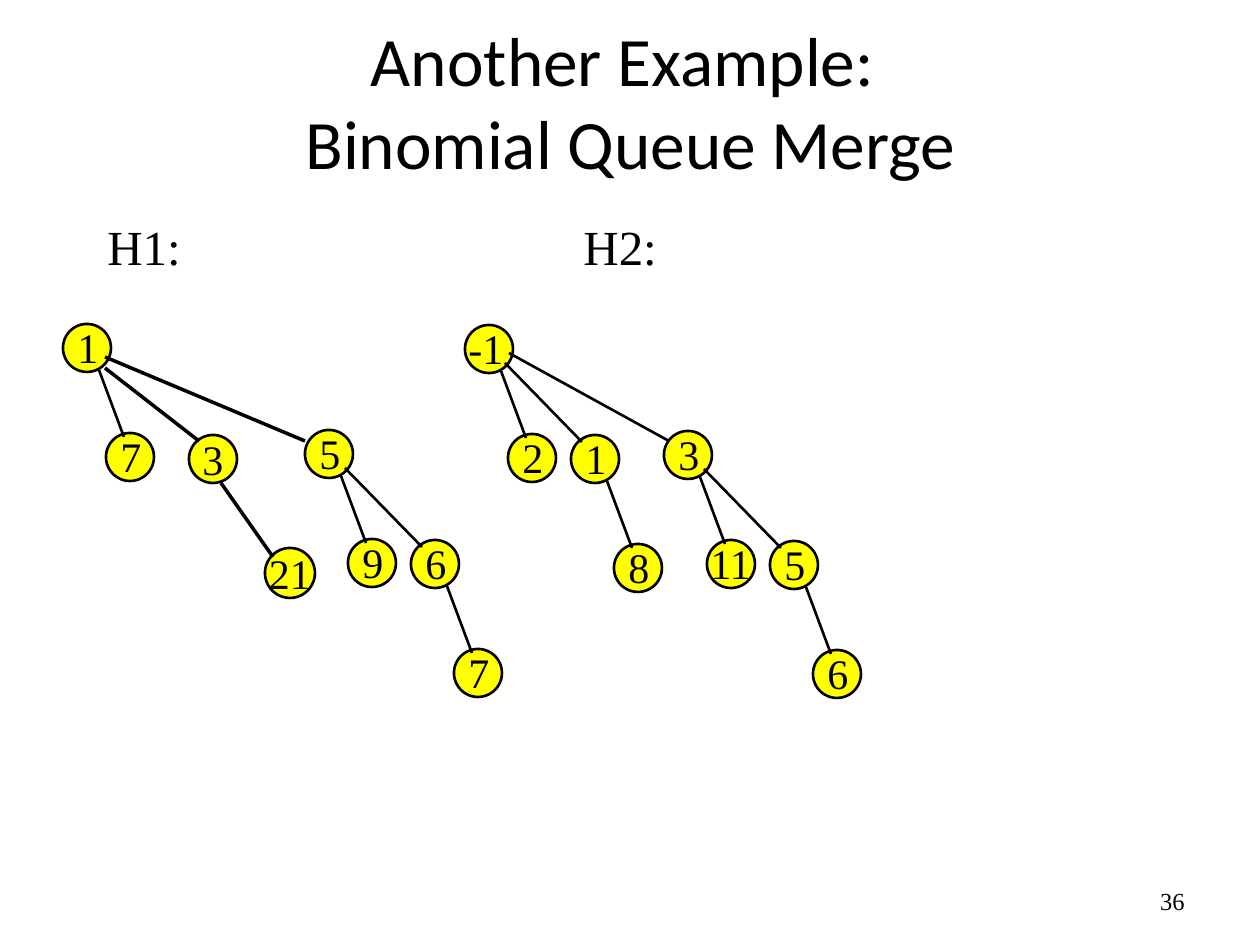
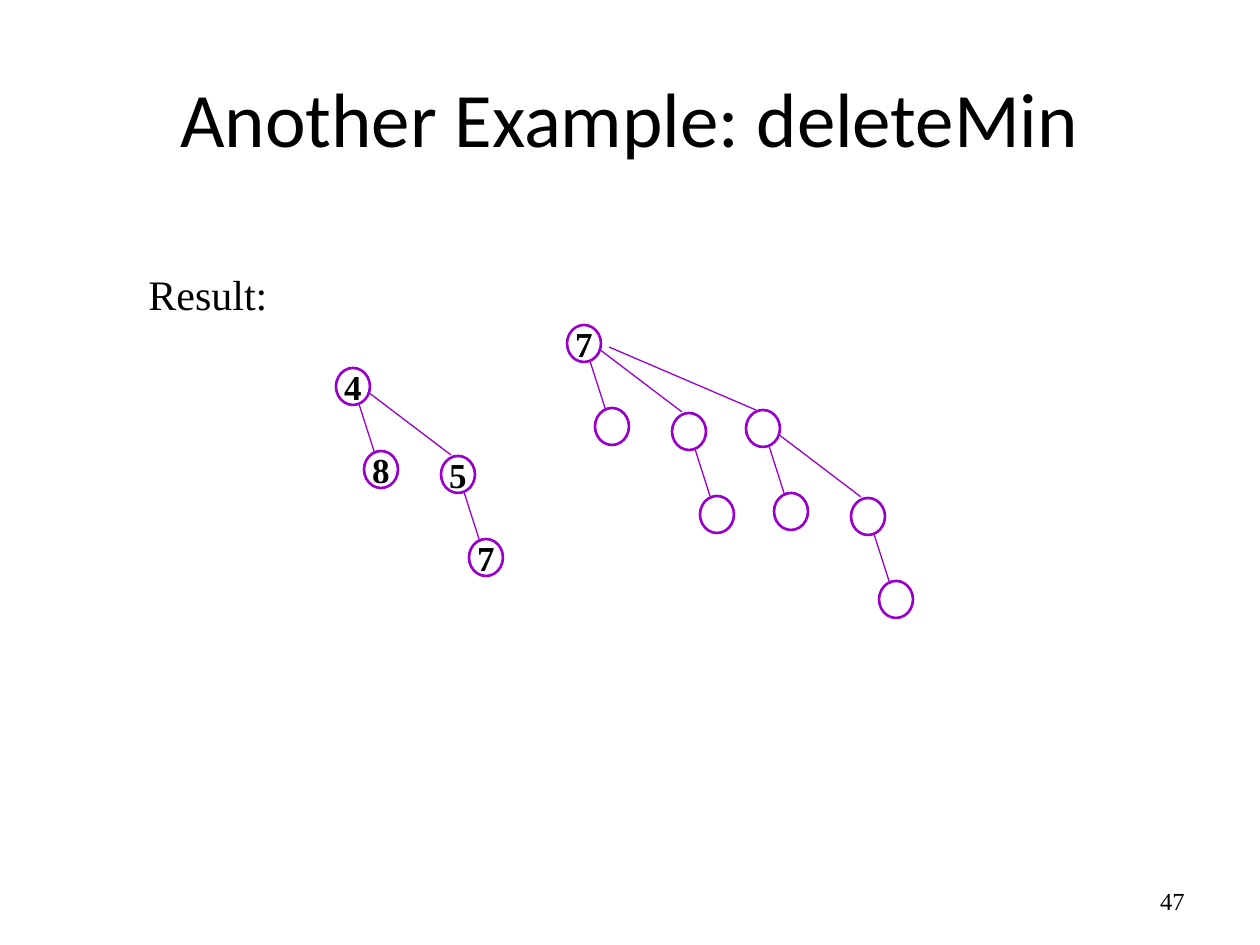
import dataclasses

import pptx
import pptx.dml.color
import pptx.enum.shapes
import pptx.enum.text
import pptx.oxml
import pptx.oxml.ns
import pptx.util

ALIGN = pptx.enum.text.PP_ALIGN
ANCHOR = pptx.enum.text.MSO_ANCHOR
RGB = pptx.dml.color.RGBColor.from_string
SCALE = 914400 / 126  # EMU in one px


@dataclasses.dataclass(frozen=True)
class Theme:
    black: str = "000000"
    yellow: str = "FFFF00"
    purple: str = "9900CC"
    head: str = "Calibri"
    body: str = "Times New Roman"
    title: float = 44
    tight: float = 39.6
    large: float = 28
    text: float = 24
    small: float = 20
    page: float = 14


@dataclasses.dataclass(frozen=True)
class Look:
    """How the trees of one slide are drawn; offsets start at a parent node."""
    size: tuple      # node width and height
    fill: str
    ink: str
    rim: float       # node line width
    edge: float      # edge line width
    step: tuple      # offset of the leaf child
    stub: tuple      # edge to the leaf child
    jump: tuple      # offset of the child that has a leaf of its own
    fork: tuple      # edge to that child
    type: float
    bold: bool
    lift: int        # px a label box rises above its node; 0 puts it inside


THEME = Theme()
QUEUE = Look((48, 48), THEME.yellow, THEME.black, 1.5, 1.5, (43, 109), (36, 46, 61, 113),
             (106, 110), (40, 38, 117, 117), THEME.text, False, 9)
RESULT = Look((34, 37), "", THEME.purple, 1.5, 0.75, (28, 83), (23, 36, 39, 86),
              (105, 88), (32, 24, 115, 87), THEME.small, True, 0)


def px(*nums):
    return [round(num * SCALE) for num in nums]


def put(item, **vals):
    for name, val in vals.items():
        setattr(item, name, val)


# Text
def write(shape, text, size, face=THEME.body, align=ALIGN.LEFT,
          anchor=ANCHOR.TOP, wrap=True, bold=False):
    frame = shape.text_frame
    put(frame, word_wrap=wrap, vertical_anchor=anchor)
    para = frame.paragraphs[0]
    put(para, text=text, alignment=align)
    for run in para.runs:
        put(run.font, name=face, size=pptx.util.Pt(size), bold=bold)
        put(run.font.color, rgb=RGB(THEME.black))
    return para


def label(slide, box, text, size, **form):
    return write(slide.shapes.add_textbox(*px(*box)), text, size, **form)


def title(slide, box, text, size):
    label(slide, box, text, size, face=THEME.head, align=ALIGN.CENTER, anchor=ANCHOR.MIDDLE)


def page(slide, num):
    label(slide, (903, 876, 294, 50), num, THEME.page,
          align=ALIGN.RIGHT, anchor=ANCHOR.MIDDLE)


def tab(para, left):
    stops = pptx.oxml.parse_xml(
        f'<a:tabLst {pptx.oxml.ns.nsdecls("a")}>'
        f'<a:tab pos="{px(left)[0]}" algn="l"/></a:tabLst>')
    para._p.get_or_add_pPr().append(stops)


# Tree parts
def edge(slide, look, ends, width=None):
    line = slide.shapes.add_connector(
        pptx.enum.shapes.MSO_CONNECTOR.STRAIGHT, *px(*ends))
    put(line.line, width=pptx.util.Pt(width or look.edge))
    put(line.line.color, rgb=RGB(look.ink))
    line._element.spPr.append(
        pptx.oxml.parse_xml(f'<a:effectLst {pptx.oxml.ns.nsdecls("a")}/>'))


def node(slide, look, x, y, text="", size=None):
    oval = slide.shapes.add_shape(
        pptx.enum.shapes.MSO_SHAPE.OVAL, *px(x, y, *(size or look.size)))
    oval.shadow.inherit = False
    if look.fill:
        oval.fill.solid()
        put(oval.fill.fore_color, rgb=RGB(look.fill))
    else:
        oval.fill.background()
    put(oval.line, width=pptx.util.Pt(look.rim))
    put(oval.line.color, rgb=RGB(look.ink))
    if text:
        write(oval, text, look.type, align=ALIGN.CENTER, anchor=ANCHOR.MIDDLE,
              wrap=False, bold=look.bold)


def mark(slide, look, x, y, text):
    """A node whose label floats over it when the look asks for a lift."""
    if not look.lift:
        node(slide, look, x, y, text)
        return
    node(slide, look, x, y)
    shift, width = (2, 47) if len(text) == 1 else (-9, 67)
    label(slide, (x + shift, y - look.lift, width, 63), text, look.type, wrap=False)


def move(x, y, ends):
    return x + ends[0], y + ends[1], x + ends[2], y + ends[3]


def pair(slide, look, x, y, top, leaf):
    mark(slide, look, x, y, top)
    mark(slide, look, x + look.step[0], y + look.step[1], leaf)
    edge(slide, look, move(x, y, look.stub))


def quad(slide, look, x, y, names=("", "", "", "")):
    pair(slide, look, x, y, *names[:2])
    pair(slide, look, x + look.jump[0], y + look.jump[1], *names[2:])
    edge(slide, look, move(x, y, look.fork))


# Slides
def merge(slide):
    page(slide, "36")
    title(slide, (95, 21, 1071, 158), "Another Example: \nBinomial Queue Merge", THEME.tight)
    heads = label(slide, (95, 210, 575, 72), "H1:\tH2:", THEME.large)
    tab(heads, 476)

    # First queue
    pair(slide, QUEUE, 63, 324, "1", "7")
    quad(slide, QUEUE, 305, 430, ("5", "9", "6", "7"))
    node(slide, QUEUE, 189, 435, "3")
    node(slide, QUEUE, 265, 548, "21", (50, 50))
    for ends in ((221, 483, 273, 557), (105, 368, 199, 441), (105, 357, 305, 441)):
        edge(slide, QUEUE, ends, 2)

    # Second queue
    quad(slide, QUEUE, 465, 325, ("-1", "2", "1", "8"))
    quad(slide, QUEUE, 664, 431, ("3", "11", "5", "6"))
    edge(slide, QUEUE, (509, 353, 669, 441))


def remove(slide):
    page(slide, "47")
    title(slide, (63, 38, 1134, 158), "Another Example: deleteMin", THEME.title)
    label(slide, (136, 262, 144, 63), "Result:", THEME.text, wrap=False)
    quad(slide, RESULT, 336, 368, ("4", "8", "5", "7"))
    quad(slide, RESULT, 746, 410)
    quad(slide, RESULT, 567, 325, ("7", "", "", ""))
    edge(slide, RESULT, (609, 347, 756, 410))


def main():
    deck = pptx.Presentation()
    wide, high = px(1260, 945)
    put(deck, slide_width=wide, slide_height=high)
    for draw in (merge, remove):
        draw(deck.slides.add_slide(deck.slide_layouts[6]))
    deck.save("out.pptx")


if __name__ == "__main__":
    main()
